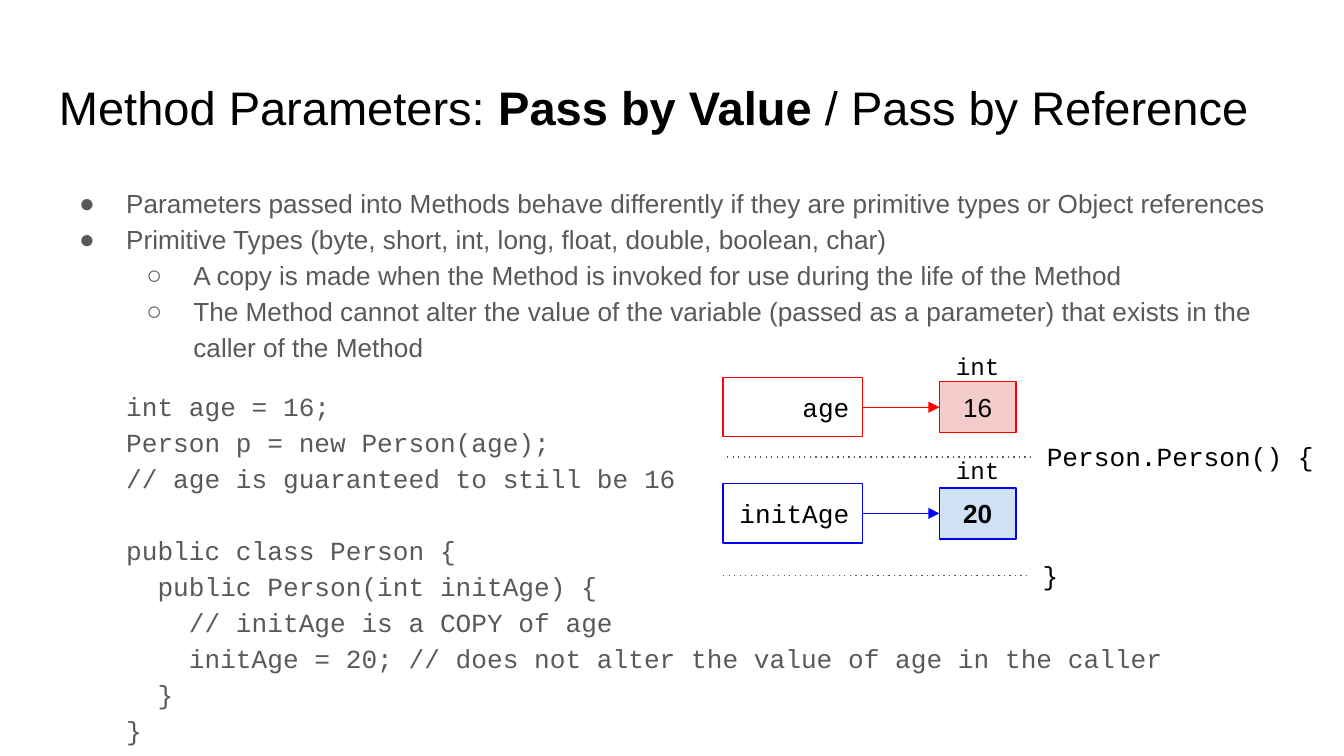
import copy

import pptx
import pptx.dml.color
import pptx.enum.shapes
import pptx.enum.text
import pptx.oxml.ns
import pptx.util
from lxml import etree

# Grid: 100 columns across, square cells, 16:9
CELL = pptx.util.Inches(0.1)
COLUMNS, ROWS = 100, 56.25

SANS, MONO = "Arial", "Courier New"
BLACK, GRAY, RED, BLUE = "000000", "595959", "FF0000", "0000FF"
LEFT, CENTER, RIGHT = (pptx.enum.text.PP_ALIGN.LEFT, pptx.enum.text.PP_ALIGN.CENTER,
                       pptx.enum.text.PP_ALIGN.RIGHT)

BULLETS = [
    (0, "Parameters passed into Methods behave differently if they are primitive types or Object references"),
    (0, "Primitive Types (byte, short, int, long, float, double, boolean, char)"),
    (1, "A copy is made when the Method is invoked for use during the life of the Method"),
    (1, "The Method cannot alter the value of the variable (passed as a parameter) "
        "that exists in the caller of the Method"),
]
CODE = """int age = 16;
Person p = new Person(age);
// age is guaranteed to still be 16

public class Person {
  public Person(int initAge) {
    // initAge is a COPY of age
    initAge = 20; // does not alter the value of age in the caller
  }
}"""


def grid(*cells):
    return [round(cell * CELL) for cell in cells]


def color(hex_string):
    return pptx.dml.color.RGBColor.from_string(hex_string)


def add_xml(parent, tag, **attributes):
    return etree.SubElement(parent, pptx.oxml.ns.qn(tag), attributes)


def write(paragraph, text, size=14, font=MONO, ink=BLACK, bold=False, align=LEFT):
    """Add text to a paragraph; newlines become line breaks of the same size."""
    paragraph.alignment = align
    for number, line in enumerate(text.split("\n")):
        if number:
            paragraph.add_line_break()
            line_break = paragraph._p.findall(pptx.oxml.ns.qn("a:br"))[-1]
            line_break.append(copy.deepcopy(run._r.rPr))
        if line:
            run = paragraph.add_run()
            run.text = line
            run.font.size = pptx.util.Pt(size)
            run.font.name = font
            run.font.bold = bold
            run.font.color.rgb = color(ink)


def set_frame(shape, anchor):
    frame = shape.text_frame
    frame.word_wrap = True
    frame.vertical_anchor = anchor
    frame.margin_left = frame.margin_right = CELL
    frame.margin_top = frame.margin_bottom = CELL
    return frame.paragraphs[0]


def add_text(slide, left, top, width, height):
    shape = slide.shapes.add_textbox(*grid(left, top, width, height))
    return set_frame(shape, pptx.enum.text.MSO_ANCHOR.TOP), shape.text_frame


def add_box(slide, left, top, width, height, text, outline, fill=None,
            anchor=pptx.enum.text.MSO_ANCHOR.TOP, **text_format):
    shape = slide.shapes.add_shape(pptx.enum.shapes.MSO_SHAPE.RECTANGLE,
                                   *grid(left, top, width, height))
    shape.shadow.inherit = False
    if fill:
        shape.fill.solid()
        shape.fill.fore_color.rgb = color(fill)
    else:
        shape.fill.background()
    shape.line.color.rgb = color(outline)
    shape.line.width = pptx.util.Pt(0.75)
    write(set_frame(shape, anchor), text, **text_format)


def add_line(slide, left, right, row, ink, arrow=False, dotted=False):
    connector = slide.shapes.add_connector(pptx.enum.shapes.MSO_CONNECTOR.STRAIGHT,
                                           *grid(left, row, right, row))
    connector.line.color.rgb = color(ink)
    connector.line.width = pptx.util.Pt(0.75)
    properties = connector._element.spPr
    outline = properties.find(pptx.oxml.ns.qn("a:ln"))
    if dotted:
        add_xml(outline, "a:prstDash", val="dot")
    if arrow:
        add_xml(outline, "a:tailEnd", type="triangle", w="med", len="med")
    add_xml(properties, "a:effectLst")


def indent(paragraph, level, hanging, bullet=None):
    properties = paragraph._p.get_or_add_pPr()
    paragraph.level = level
    paragraph.line_spacing = 1.15
    margin, hang = grid(5 * (level + 1), -hanging)
    properties.set("marL", str(margin))
    properties.set("indent", str(hang))
    if bullet:
        add_xml(add_xml(properties, "a:buClr"), "a:srgbClr", val=GRAY)
        add_xml(properties, "a:buFont", typeface=SANS)
        add_xml(properties, "a:buChar", char=bullet)


def add_body(slide):
    paragraph, frame = add_text(slide, 3.4, 12.6, 93.2, 37.4)
    for level, text in BULLETS:
        write(paragraph, text, font=SANS, ink=GRAY)
        indent(paragraph, level, 3.5, "●○"[level])
        paragraph = frame.add_paragraph()
    write(paragraph, CODE, ink=GRAY)
    indent(paragraph, 0, 0)
    paragraph.space_before = paragraph.space_after = pptx.util.Pt(12)


def add_variable(slide, top, name, value, ink, fill, bold, label_top, label_height):
    """A named box with an arrow to its typed value."""
    add_box(slide, 53.8, top, 10.4, 4.4, name, ink, align=RIGHT)
    add_line(slide, 64.2, 69.9, top + 2.2, ink, arrow=True)
    add_box(slide, 69.9, top + 0.3, 5.7, 3.8, value, ink, fill,
            pptx.enum.text.MSO_ANCHOR.MIDDLE, font=SANS, bold=bold, align=CENTER)
    paragraph, _ = add_text(slide, 69.9, label_top, 5.7, label_height)
    write(paragraph, "int", size=13, align=CENTER)


def add_scope(slide, left, row, text):
    """A dotted scope boundary with code at its right end."""
    add_line(slide, left, left + 22.8, row, GRAY, dotted=True)
    paragraph, _ = add_text(slide, left + 22.8, row - 2.2, 22.8, 4.4)
    write(paragraph, text)


def main():
    presentation = pptx.Presentation()
    presentation.slide_width, presentation.slide_height = grid(COLUMNS, ROWS)
    slide = presentation.slides.add_slide(presentation.slide_layouts[6])

    # Title
    title, _ = add_text(slide, 3.4, 4.87, 93.2, 6.3)
    for text, bold in [("Method Parameters: ", False), ("Pass by Value", True),
                       (" / Pass by Reference", False)]:
        write(title, text, size=25.2, font=SANS, bold=bold)

    # Bullets and code
    add_body(slide)

    # Memory diagram
    add_variable(slide, 28.1, "age", "16", RED, "F4CCCC", False, 25.1, 3.1)
    add_variable(slide, 36, "initAge", "20", BLUE, "CFE2F3", True, 32.9, 4.2)
    add_scope(slide, 54.1, 34, "Person.Person() {")
    add_scope(slide, 53.8, 42.8, "}")

    presentation.save("out.pptx")


main()
